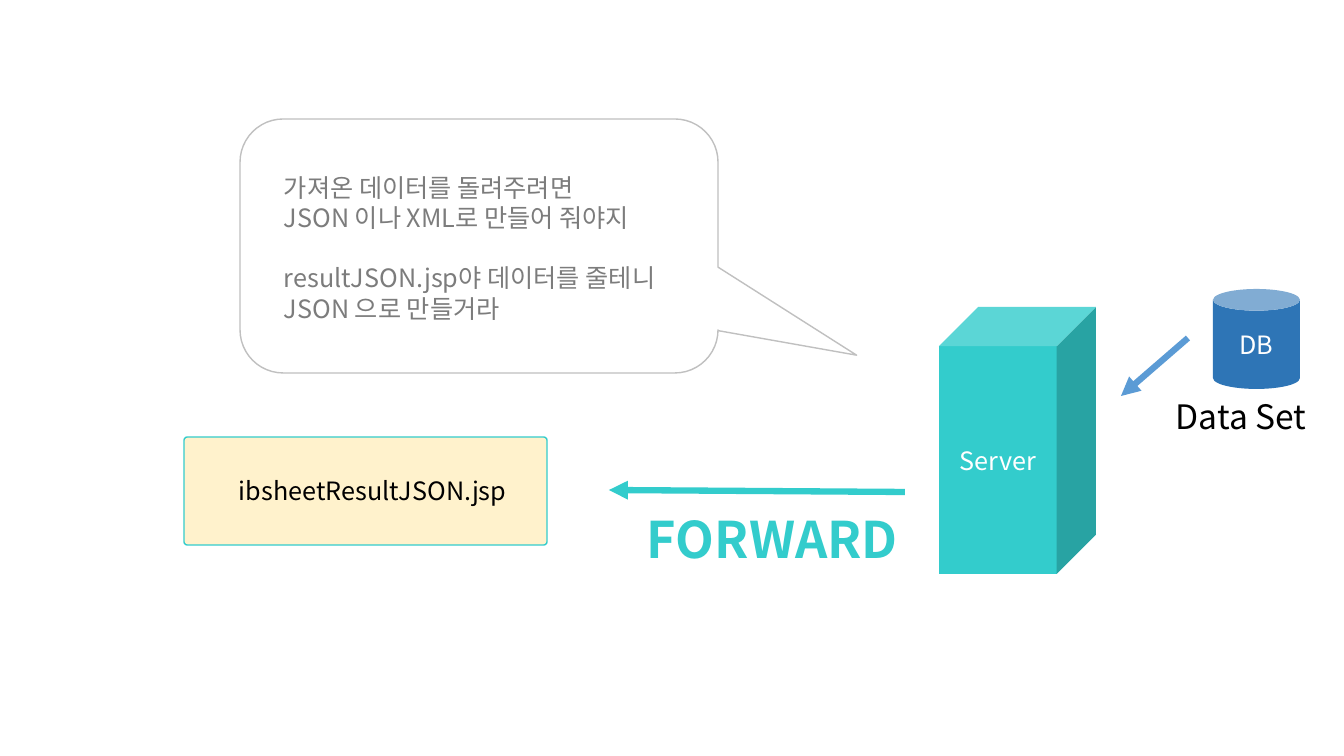
from lxml import etree
from pptx import Presentation
from pptx.dml.color import RGBColor
from pptx.enum.shapes import MSO_CONNECTOR, MSO_SHAPE
from pptx.enum.text import MSO_ANCHOR, PP_ALIGN
from pptx.oxml.ns import qn
from pptx.util import Pt

STRAIGHT = MSO_CONNECTOR.STRAIGHT
CUBE, CAN = MSO_SHAPE.CUBE, MSO_SHAPE.CAN
CALLOUT = MSO_SHAPE.ROUNDED_RECTANGULAR_CALLOUT
ROUNDED, RECTANGLE = MSO_SHAPE.ROUNDED_RECTANGLE, MSO_SHAPE.RECTANGLE
CENTER, LEFT = PP_ALIGN.CENTER, PP_ALIGN.LEFT
MIDDLE, TOP = MSO_ANCHOR.MIDDLE, MSO_ANCHOR.TOP

FONT = "Noto Sans CJK KR"
TEAL, BLUE, LIGHT_BLUE = "33CCCC", "2E75B6", "5B9BD5"
WHITE, BLACK, GRAY, SILVER, CREAM = "FFFFFF", "000000", "7C7C7C", "C0C0C0", "FFF2CC"
LINE_HEIGHT = 1.2


def px(length):
    return round(length * 914400 / 100.8)


def rgb(value):
    return RGBColor.from_string(value)


class Diagram:
    def __init__(self, presentation):
        self.slide = presentation.slides.add_slide(presentation.slide_layouts[6])
        self.shapes = self.slide.shapes

    def shape(self, kind, box, fill, outline=None, adjustments=()):
        shape = self.shapes.add_shape(kind, *map(px, box))
        shape.shadow.inherit = False
        shape.fill.solid()
        shape.fill.fore_color.rgb = rgb(fill)
        if outline:
            shape.line.color.rgb = rgb(outline)
            shape.line.width = Pt(1)
        else:
            shape.line.fill.background()
        for index, value in enumerate(adjustments):
            shape.adjustments[index] = value
        return shape

    def style(self, paragraph, size, color, bold=False):
        font = paragraph.font
        font.size, font.bold, font.name = Pt(size), bold, FONT
        font.color.rgb = rgb(color)
        properties = paragraph._p.pPr.find(qn("a:defRPr"))
        etree.SubElement(properties, qn("a:ea"), typeface=FONT)

    def label(self, shape, text):
        """Write white text in the middle of a shape."""
        shape.text_frame.vertical_anchor = MIDDLE
        paragraph = shape.text_frame.paragraphs[0]
        paragraph.text = text
        paragraph.alignment = CENTER
        self.style(paragraph, 18, WHITE)

    def lines(self, shape, paragraphs, size, color, bold=False, gaps=()):
        """Write unwrapped paragraphs; gaps lists those set one line lower."""
        frame = shape.text_frame
        frame.word_wrap = False
        frame.vertical_anchor = TOP
        for index, text in enumerate(paragraphs):
            paragraph = frame.add_paragraph() if index else frame.paragraphs[0]
            paragraph.text = text
            paragraph.alignment = LEFT
            paragraph.line_spacing = Pt(size * LINE_HEIGHT)
            if index in gaps:
                paragraph.space_before = Pt(size * LINE_HEIGHT)
            self.style(paragraph, size, color, bold)

    def text(self, box, paragraphs, size, color, **options):
        textbox = self.shapes.add_textbox(*map(px, box))
        self.lines(textbox, paragraphs, size, color, **options)

    def arrow(self, start, end, color):
        connector = self.shapes.add_connector(STRAIGHT, *map(px, start + end))
        connector.line.color.rgb = rgb(color)
        connector.line.width = Pt(4.5)
        properties = connector._element.spPr
        etree.SubElement(properties.find(qn("a:ln")), qn("a:tailEnd"), type="triangle")
        etree.SubElement(properties, qn("a:effectLst"))


def main():
    presentation = Presentation()
    presentation.slide_width, presentation.slide_height = px(1344), px(756)
    diagram = Diagram(presentation)

    server = diagram.shape(CUBE, (939, 307, 157, 267), TEAL)
    diagram.label(server, "Server")
    database = diagram.shape(CAN, (1213, 289, 87, 100), BLUE)
    diagram.label(database, "DB")
    diagram.arrow((1188, 338), (1121, 396), LIGHT_BLUE)
    diagram.text((1166, 391, 152, 50), ["Data Set"], 24, BLACK)
    diagram.arrow((905, 492), (609, 490), TEAL)

    diagram.shape(CALLOUT, (240, 119, 478, 254), WHITE, SILVER, (0.79, 0.43, 0.17))
    diagram.text((274, 167, 417, 163), [
        "가져온 데이터를 돌려주려면\vJSON 이나 XML로 만들어 줘야지",
        "resultJSON.jsp야 데이터를 줄테니",
        "JSON 으로 만들거라",
    ], 18, GRAY, gaps=(1,))
    diagram.text((637, 503, 276, 72), ["FORWARD"], 36, TEAL, bold=True)

    page = diagram.shape(ROUNDED, (184, 437, 363, 108), CREAM, TEAL, (0.03,))
    page_name = diagram.shape(RECTANGLE, (229, 470, 290, 40), CREAM)
    diagram.lines(page_name, ["ibsheetResultJSON.jsp"], 18, BLACK)
    diagram.shapes.add_group_shape([page, page_name])

    presentation.save("out.pptx")


if __name__ == "__main__":
    main()
